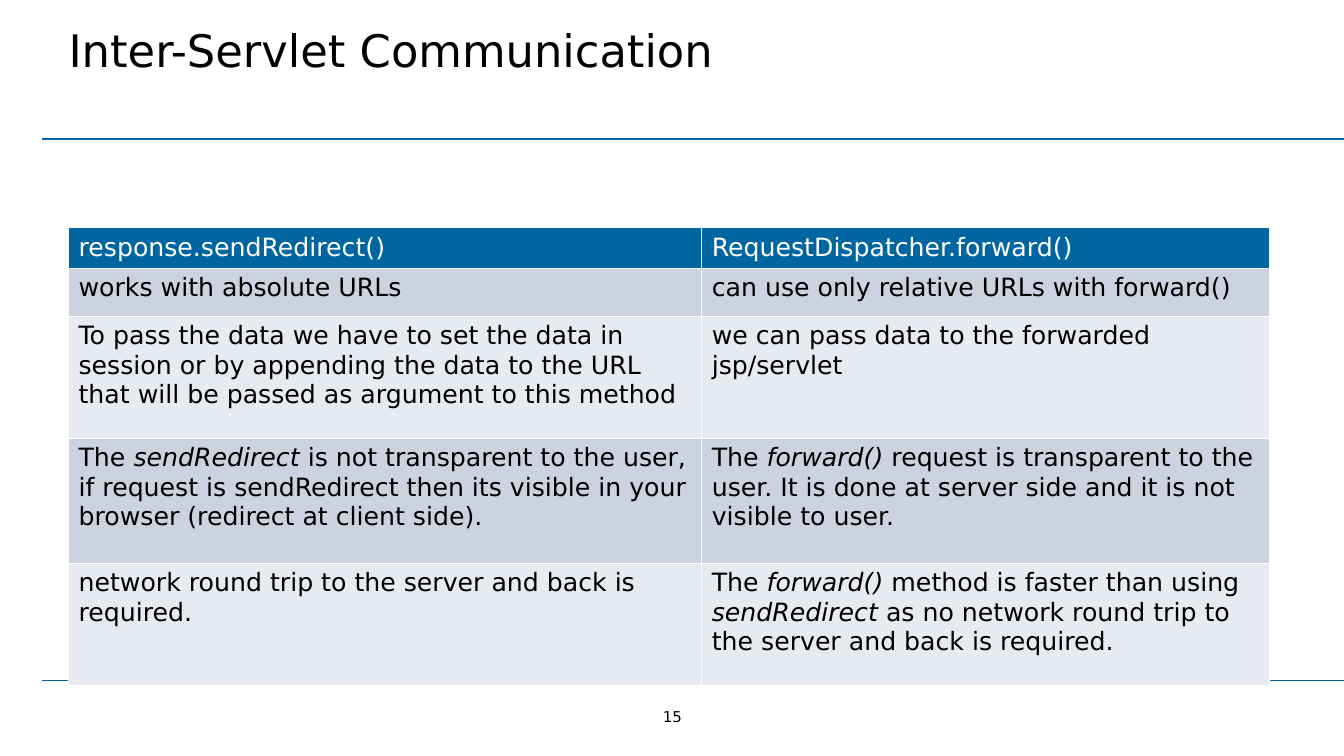
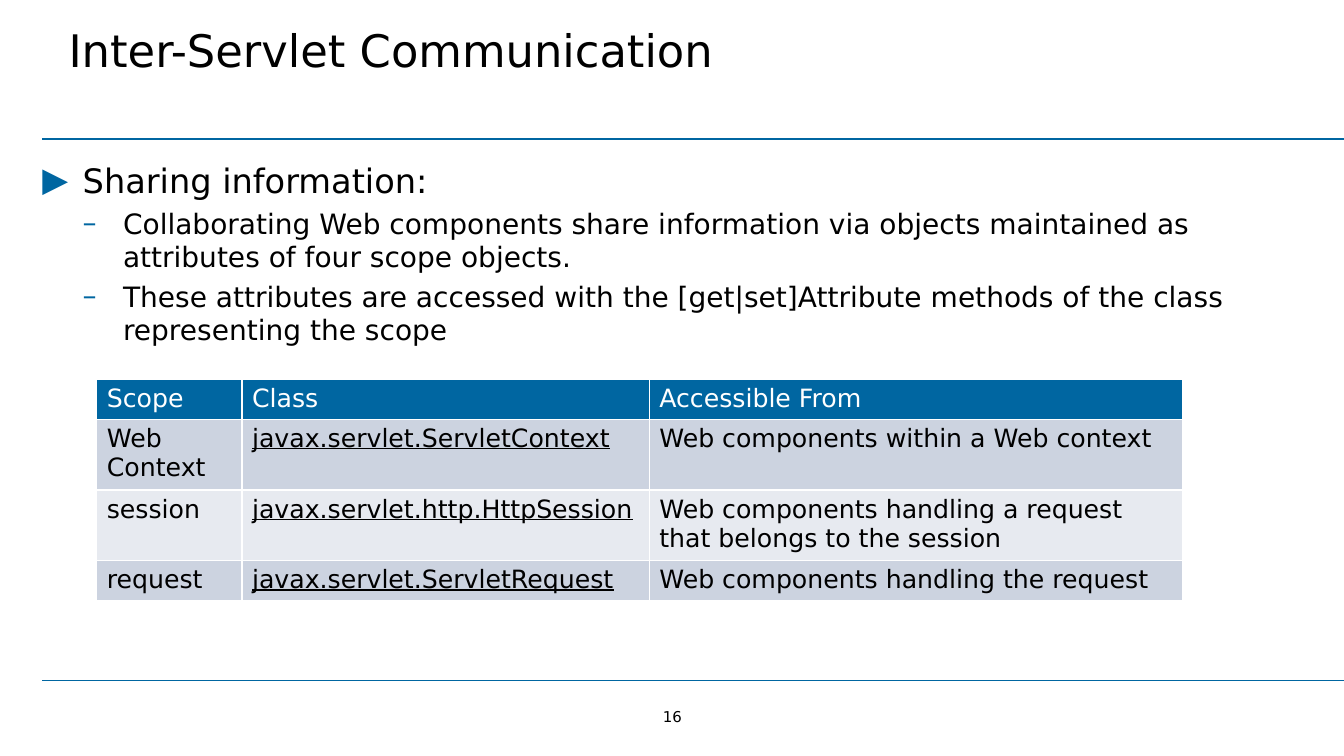
from dataclasses import dataclass

from lxml.etree import SubElement
from pptx import Presentation
from pptx.dml.color import RGBColor
from pptx.enum.shapes import MSO_CONNECTOR as Connector
from pptx.enum.text import MSO_ANCHOR as Anchor, PP_ALIGN as Align
from pptx.oxml import parse_xml
from pptx.oxml.ns import nsdecls, qn
from pptx.util import Inches, Pt


@dataclass(frozen=True)
class Theme:
    font: str = "DejaVu Sans"
    accent: str = "0066A1"
    ink: str = "000000"
    paper: str = "FFFFFF"
    bands: tuple = ("CCD3E0", "E7EAF0")
    title: float = 32
    levels: tuple = (24, 20)
    cell: float = 18
    number: float = 10.7


THEME = Theme()
WIDTH, HEIGHT = 13.33, 7.5
RULE_LEFT, RULE_TOPS = 0.42, (1.38, 6.75)
INDENT = 0.4
BULLETS = "▶–"

# Text between asterisks takes the table's emphasis.
SLIDES = [
    {
        "title": "Inter-Servlet Communication",
        "number": 15,
        "bullets": [],
        "table": {
            "at": (0.68, 2.26),
            "columns": (6.28, 5.63),
            "rows": (0.37, 0.48, 1.21, 1.24, 1.21),
            "emphasis": {"italic": True},
            "cells": [
                ("response.sendRedirect()", "RequestDispatcher.forward()"),
                ("works with absolute URLs",
                 "can use only relative URLs with forward()"),
                ("To pass the data we have to set the data in session or by "
                 "appending the data to the URL that will be passed as "
                 "argument to this method",
                 "we can pass data to the forwarded jsp/servlet"),
                ("The *sendRedirect* is not transparent to the user, if "
                 "request is sendRedirect then its visible in your browser "
                 "(redirect at client side).",
                 "The *forward()* request is transparent to the user. It is "
                 "done at server side and it is not visible to user."),
                ("network round trip to the server and back is required.",
                 "The *forward()* method is faster than using *sendRedirect* "
                 "as no network round trip to the server and back is "
                 "required."),
            ],
        },
    },
    {
        "title": "Inter-Servlet Communication",
        "number": 16,
        "bullets": [
            (0, "Sharing information:"),
            (1, "Collaborating Web components share information via objects "
                "maintained as attributes of four scope objects."),
            (1, "These attributes are accessed with the [get|set]Attribute "
                "methods of the class representing the scope"),
        ],
        "table": {
            "at": (0.96, 3.76),
            "columns": (1.44, 4.04, 5.29),
            "rows": (0.38,) * 4,
            "emphasis": {"underline": True},
            "cells": [
                ("Scope", "Class", "Accessible From"),
                ("Web Context", "*javax.servlet.ServletContext*",
                 "Web components within a Web context"),
                ("session", "*javax.servlet.http.HttpSession*",
                 "Web components handling a request that belongs to the "
                 "session"),
                ("request", "*javax.servlet.ServletRequest*",
                 "Web components handling the request"),
            ],
        },
    },
]


def write(para, text, size, color=THEME.ink, **style):
    span = para.add_run()
    span.text = text
    span.font.color.rgb = RGBColor.from_string(color)
    font_format = {"name": THEME.font, "size": Pt(size), **style}
    for name, value in font_format.items():
        setattr(span.font, name, value)


def add_text_box(page, left, top, width, height, **frame_format):
    box = page.shapes.add_textbox(*map(Inches, (left, top, width, height)))
    defaults = dict.fromkeys(
        ("margin_left", "margin_top", "margin_right", "margin_bottom"), 0)
    for name, value in {**defaults, "word_wrap": True, **frame_format}.items():
        setattr(box.text_frame, name, value)
    return box.text_frame


def add_frame(page, title, number):
    """Draw what every slide shares: rules, page number and title."""
    for top in RULE_TOPS:
        rule = page.shapes.add_connector(
            Connector.STRAIGHT, Inches(RULE_LEFT), Inches(top),
            Inches(WIDTH), Inches(top))
        rule.line.color.rgb = RGBColor.from_string(THEME.accent)
        rule.line.width = Pt(1.25)
        SubElement(rule._element.spPr, qn("a:effectLst"))

    footer = add_text_box(page, 6.54, 7.02, 0.26, 0.18, word_wrap=False,
                          vertical_anchor=Anchor.MIDDLE)
    footer.paragraphs[0].alignment = Align.CENTER
    write(footer.paragraphs[0], str(number), THEME.number)

    heading = add_text_box(page, 0.68, 0.18, 12.65, 0.83,
                           margin_top=Inches(0.05), margin_bottom=Inches(0.05))
    write(heading.paragraphs[0], title, THEME.title)


def add_bullets(page, bullets):
    body = add_text_box(page, RULE_LEFT, 1.59, 12.65, 4.96)
    for index, (level, text) in enumerate(bullets):
        para = body.add_paragraph() if index else body.paragraphs[0]
        para.level = level
        para.space_after = Pt(4)
        props = para._p.get_or_add_pPr()
        props.set("marL", str(Inches(INDENT * (level + 1))))
        props.set("indent", str(Inches(-INDENT)))
        color = SubElement(props, qn("a:buClr"))
        SubElement(color, qn("a:srgbClr"), val=THEME.accent)
        SubElement(props, qn("a:buFont"), typeface=THEME.font)
        SubElement(props, qn("a:buChar"), char=BULLETS[level])
        write(para, text, THEME.levels[level])


def add_borders(cell):
    props = cell._tc.get_or_add_tcPr()
    for position, side in enumerate("LRTB"):
        props.insert(position, parse_xml(
            f'<a:ln{side} {nsdecls("a")} w="{Pt(1)}"><a:solidFill>'
            f'<a:srgbClr val="{THEME.paper}"/></a:solidFill></a:ln{side}>'))


def add_table(page, at, columns, rows, emphasis, cells):
    table = page.shapes.add_table(
        len(rows), len(columns), *map(Inches, (*at, sum(columns), sum(rows)))
    ).table
    table.horz_banding = False
    for column, width in zip(table.columns, columns):
        column.width = Inches(width)
    for index, (row, height) in enumerate(zip(table.rows, rows)):
        row.height = Inches(height)
        fill = THEME.bands[(index - 1) % 2] if index else THEME.accent
        color = THEME.ink if index else THEME.paper
        for cell, text in zip(row.cells, cells[index]):
            cell.fill.solid()
            cell.fill.fore_color.rgb = RGBColor.from_string(fill)
            add_borders(cell)
            for order, part in enumerate(text.split("*")):
                if part:
                    style = emphasis if order % 2 else {}
                    write(cell.text_frame.paragraphs[0], part, THEME.cell,
                          color, **{"bold": False, **style})


def main():
    deck = Presentation()
    deck.slide_width, deck.slide_height = Inches(WIDTH), Inches(HEIGHT)
    for content in SLIDES:
        page = deck.slides.add_slide(deck.slide_layouts[6])
        add_frame(page, content["title"], content["number"])
        if content["bullets"]:
            add_bullets(page, content["bullets"])
        add_table(page, **content["table"])
    deck.save("out.pptx")


if __name__ == "__main__":
    main()
